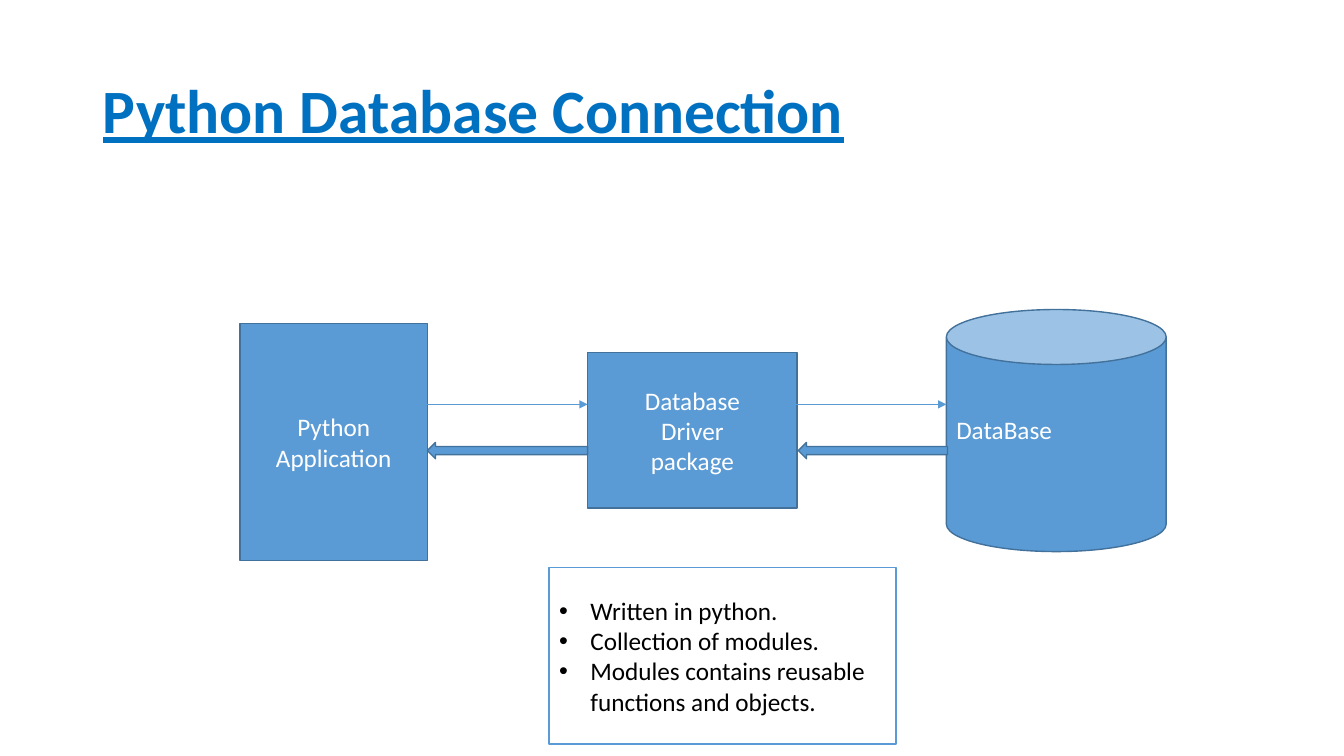
from lxml import etree
from pptx import Presentation
from pptx.dml.color import RGBColor
from pptx.enum.shapes import MSO_CONNECTOR, MSO_SHAPE
from pptx.enum.text import MSO_ANCHOR, PP_ALIGN
from pptx.oxml.ns import qn
from pptx.util import Cm, Pt

TITLE_BLUE = RGBColor(0x00, 0x70, 0xC0)
BLUE = RGBColor(0x5B, 0x9B, 0xD5)
DARK_BLUE = RGBColor(0x42, 0x71, 0x9B)
WHITE = RGBColor(0xFF, 0xFF, 0xFF)
BLACK = RGBColor(0x00, 0x00, 0x00)
RECT, CAN, LEFT_ARROW = MSO_SHAPE.RECTANGLE, MSO_SHAPE.CAN, MSO_SHAPE.LEFT_ARROW
LEFT, CENTER = PP_ALIGN.LEFT, PP_ALIGN.CENTER
MIDDLE = MSO_ANCHOR.MIDDLE
STRAIGHT = MSO_CONNECTOR.STRAIGHT
TITLE_ONLY = 5


def add_box(kind, place, fill=BLUE, line=DARK_BLUE):
    s = slide.shapes.add_shape(kind, *map(Cm, place))
    s.shadow.inherit = False
    s.fill.solid()
    s.fill.fore_color.rgb = fill
    s.line.color.rgb = line
    s.line.width = Pt(1)
    return s


def write(s, lines, color, align, bullet=False):
    tf = s.text_frame
    tf.word_wrap = True
    tf.vertical_anchor = MIDDLE
    tf.text = "\n".join(lines)
    for p in tf.paragraphs:
        p.alignment = align
        if bullet:
            pPr = p._p.get_or_add_pPr()
            pPr.set("marL", str(Cm(0.79)))
            pPr.set("indent", str(-Cm(0.79)))
            etree.SubElement(pPr, qn("a:buFont"), typeface="Arial")
            etree.SubElement(pPr, qn("a:buChar"), char="•")
        for r in p.runs:
            r.font.name = "Calibri"
            r.font.size = Pt(18)
            r.font.color.rgb = color


prs = Presentation()
prs.slide_width, prs.slide_height = Cm(33.87), Cm(19.05)
slide = prs.slides.add_slide(prs.slide_layouts[TITLE_ONLY])

# Title
title = slide.shapes.title
title.left, title.top, title.width, title.height = map(Cm, (2.34, 1.02, 29.21, 3.68))
title.text_frame.text = "Python Database Connection"
title.text_frame.vertical_anchor = MIDDLE
p = title.text_frame.paragraphs[0]
p.alignment = LEFT
p.line_spacing = 0.9
font = p.runs[0].font
for name, value in {"name": "Calibri", "size": Pt(44), "bold": True, "underline": True}.items():
    setattr(font, name, value)
font.color.rgb = TITLE_BLUE

# Application, driver and database
application = add_box(RECT, (6.05, 8.15, 4.72, 5.97))
write(application, ["Python Application"], WHITE, CENTER)
driver = add_box(RECT, (14.81, 8.89, 5.28, 3.91))
write(driver, ["Database", "Driver", "package"], WHITE, CENTER)
database = add_box(CAN, (23.85, 7.8, 5.54, 6.1))
write(database, ["DataBase"], WHITE, LEFT)
database.text_frame.margin_bottom = Cm(0.89)

# Requests run right
for start, end in ((10.59, 14.81), (19.81, 23.85)):
    c = slide.shapes.add_connector(STRAIGHT, Cm(start), Cm(10.19), Cm(end), Cm(10.19))
    c.line.color.rgb = BLUE
    c.line.width = Pt(0.75)
    etree.SubElement(c.line._get_or_add_ln(), qn("a:tailEnd"), type="triangle")
    etree.SubElement(c._element.spPr, qn("a:effectLst"))

# Results run left
for left, width in ((10.77, 4.04), (20.12, 3.76)):
    add_box(LEFT_ARROW, (left, 11.15, width, 0.41))

# Driver notes
notes = add_box(RECT, (13.84, 14.3, 8.74, 4.45), WHITE, BLUE)
write(notes, ["Written in python.", "Collection of modules.",
              "Modules contains reusable functions and objects."], BLACK, LEFT, bullet=True)

prs.save("out.pptx")
